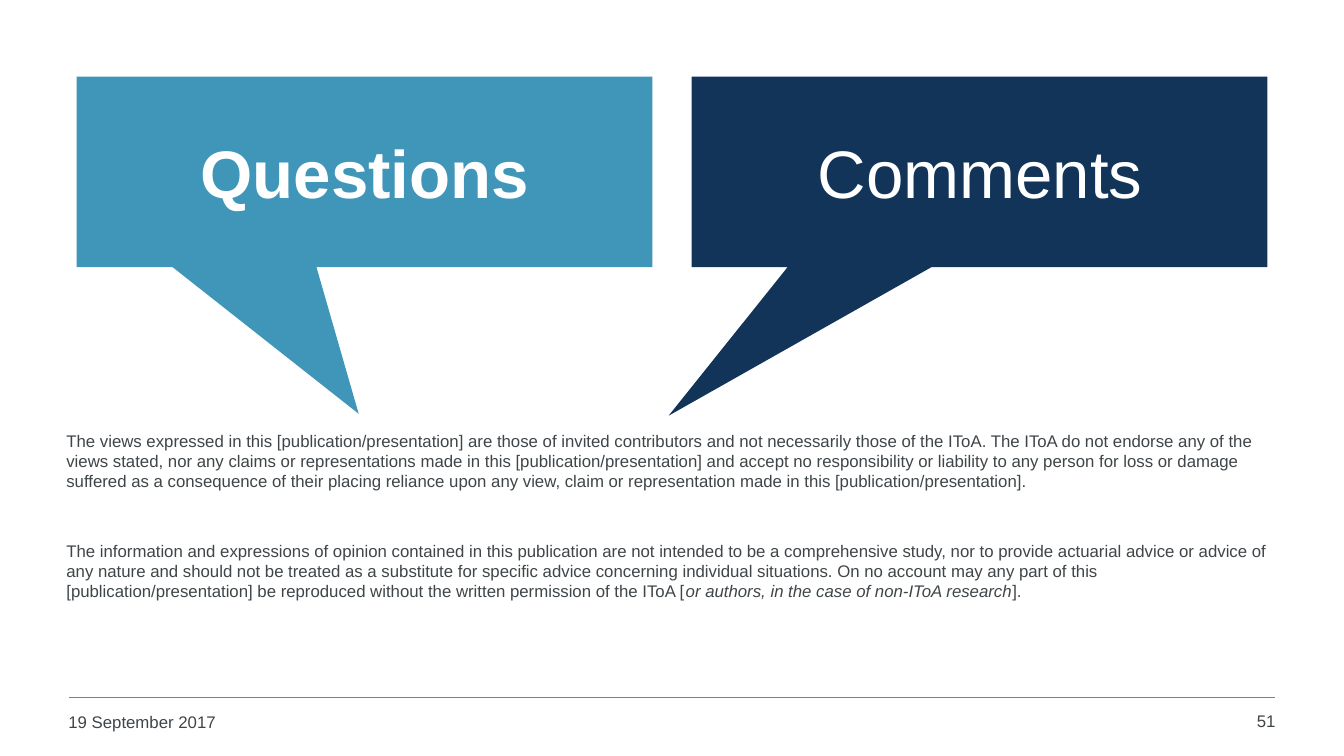
from lxml import etree
from pptx import Presentation
from pptx import util as u
from pptx.dml.color import RGBColor
from pptx.enum import shapes, text
from pptx.oxml.ns import qn

TEAL = RGBColor(0x40, 0x96, 0xB8)
NAVY = RGBColor(0x11, 0x34, 0x58)
WHITE = RGBColor(0xFF, 0xFF, 0xFF)
INK = RGBColor(0x3F, 0x45, 0x48)
GREY = RGBColor(0x7F, 0x7F, 0x7F)

VIEWS = (
    "The views expressed in this [publication/presentation] are those of invited "
    "contributors and not necessarily those of the IToA. The IToA do not endorse any "
    "of the views stated, nor any claims or representations made in this "
    "[publication/presentation] and accept no responsibility or liability to any person "
    "for loss or damage suffered as a consequence of their placing reliance upon any "
    "view, claim or representation made in this [publication/presentation]."
)
ADVICE = (
    "The information and expressions of opinion contained in this publication are not "
    "intended to be a comprehensive study, nor to provide actuarial advice or advice of "
    "any nature and should not be treated as a substitute for specific advice concerning "
    "individual situations. On no account may any part of this "
    "[publication/presentation] be reproduced without the written permission of the IToA ["
)
AUTHORS = "or authors, in the case of non-IToA research"


def write(para, words, size=12, color=INK, bold=False, italic=False):
    run = para.add_run()
    run.text = words
    font = run.font
    font.name = "Arial"
    font.size = u.Pt(size)
    font.color.rgb = color
    font.bold = bold
    font.italic = italic


class Page:
    """Hold the slide and draw its elements in one style."""

    def __init__(self, slide):
        self.shapes = slide.shapes

    def box(self, left, top, width, height, align=text.PP_ALIGN.LEFT,
            anchor=text.MSO_ANCHOR.TOP):
        place = [u.Inches(n) for n in (left, top, width, height)]
        frame = self.shapes.add_textbox(*place).text_frame
        frame.word_wrap = True
        frame.vertical_anchor = anchor
        frame.paragraphs[0].alignment = align
        return frame

    def label(self, words, place, align=text.PP_ALIGN.LEFT):
        write(self.box(*place, align=align).paragraphs[0], words)

    def bubble(self, words, left, tip, fill, bold=False):
        place = [u.Inches(n) for n in (left, 0.76, 5.71, 1.89)]
        shape = self.shapes.add_shape(shapes.MSO_SHAPE.RECTANGULAR_CALLOUT, *place)
        shape.shadow.inherit = False
        shape.adjustments[0], shape.adjustments[1] = tip
        shape.fill.solid()
        shape.fill.fore_color.rgb = fill
        shape.line.fill.background()
        frame = self.box(left + 0.29, 1.08, 5.14, 1.25,
                         text.PP_ALIGN.CENTER, text.MSO_ANCHOR.MIDDLE)
        write(frame.paragraphs[0], words, size=48, color=WHITE, bold=bold)

    def rule(self, left, right, top):
        ends = [u.Inches(n) for n in (left, top, right, top)]
        line = self.shapes.add_connector(shapes.MSO_CONNECTOR.STRAIGHT, *ends)
        line.line.color.rgb = GREY
        line.line.width = u.Pt(0.75)
        etree.SubElement(line._element.spPr, qn("a:effectLst"))

    def notice(self):
        frame = self.box(0.56, 4.22, 12.25, 2.66)
        write(frame.paragraphs[0], VIEWS)
        para = frame.add_paragraph()
        para.space_before = u.Pt(35.5)
        write(para, ADVICE)
        write(para, AUTHORS, italic=True)
        write(para, "].")


def main():
    deck = Presentation()
    deck.slide_width = u.Inches(13.33)
    deck.slide_height = u.Inches(7.5)
    page = Page(deck.slides.add_slide(deck.slide_layouts[6]))
    page.rule(0.68, 12.65, 6.92)
    page.label("19 September 2017", (0.58, 7.01, 2.94, 0.36))
    page.label("51", (11.81, 7, 0.94, 0.37), text.PP_ALIGN.RIGHT)
    page.bubble("Questions", 0.76, (-0.01, 1.27), TEAL, bold=True)
    page.bubble("Comments", 6.86, (-0.54, 1.28), NAVY)
    page.notice()
    deck.save("out.pptx")


if __name__ == "__main__":
    main()
